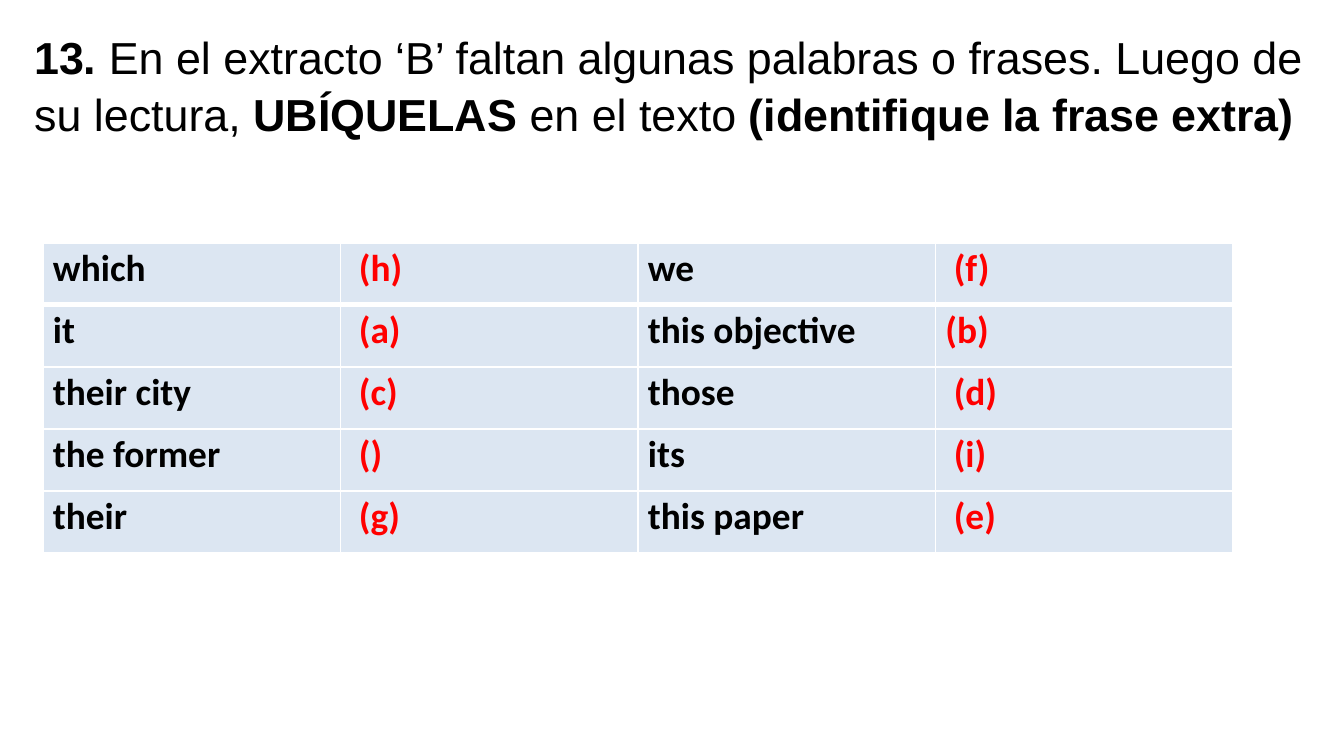
from lxml.etree import SubElement
from pptx import Presentation
from pptx.dml.color import RGBColor
from pptx.enum.text import MSO_ANCHOR
from pptx.oxml.ns import qn
from pptx.util import Emu, Pt

SCALE = 914400 / 134.4
BLACK = RGBColor(0, 0, 0)
RED = RGBColor(255, 0, 0)
WHITE = RGBColor(255, 255, 255)
PALE_BLUE = RGBColor(0xDC, 0xE6, 0xF2)

INSTRUCTION = [
    ("13. ", True),
    ("En el extracto ‘B’ faltan algunas palabras o frases. Luego de su lectura, ", False),
    ("UBÍQUELAS", True),
    (" en el texto ", False),
    ("(identifique la frase extra)", True),
]
PHRASES = [
    ("which", " (h)", "we", " (f)"),
    ("it", " (a)", "this objective", "(b) "),
    ("their city", " (c)", "those", " (d)"),
    ("the former", " ()", "its", " (i)"),
    ("their", " (g)", "this paper", " (e)"),
]


def px(n):
    return Emu(round(n * SCALE))


def format_run(r, font, size, color, bold):
    r.font.name = font
    r.font.size = Pt(size)
    r.font.color.rgb = color
    r.font.bold = bold


def set_borders(cell, widths):
    tcPr = cell._tc.get_or_add_tcPr()
    for side, width in widths.items():
        ln = SubElement(tcPr, qn(f"a:ln{side}"), w=str(Pt(width)))
        fill = SubElement(ln, qn("a:solidFill"))
        SubElement(fill, qn("a:srgbClr"), val=str(WHITE))


def add_instruction(s, x, y, w, h):
    tf = s.shapes.add_textbox(px(x), px(y), px(w), px(h)).text_frame
    tf.word_wrap = True
    p = tf.paragraphs[0]
    p.line_spacing = 1.07
    p.space_after = Pt(8)
    for text, bold in INSTRUCTION:
        r = p.add_run()
        r.text = text
        format_run(r, "Arial", 24, BLACK, bold)


def fill_cell(cell, text, color):
    cell.margin_left = cell.margin_right = px(10)
    cell.margin_top = cell.margin_bottom = 0
    cell.vertical_anchor = MSO_ANCHOR.TOP
    cell.text_frame.text = text
    p = cell.text_frame.paragraphs[0]
    p.line_spacing = 1.07
    format_run(p.runs[0], "Calibri", 20, color, True)


def add_phrase_table(s, x, y, w, h):
    rows, cols = len(PHRASES), len(PHRASES[0])
    table = s.shapes.add_table(rows, cols, px(x), px(y), px(w), px(h)).table
    for column in table.columns:
        column.width = px(w / cols)
    for i, phrases in enumerate(PHRASES):
        table.rows[i].height = px(h / rows)
        for j, text in enumerate(phrases):
            cell = table.cell(i, j)
            fill_cell(cell, text, RED if j % 2 else BLACK)
            set_borders(cell, {"L": 1, "R": 1, "T": 3 if i == 1 else 1, "B": 3 if i == 0 else 1})
            cell.fill.solid()
            cell.fill.fore_color.rgb = PALE_BLUE


def main():
    prs = Presentation()
    prs.slide_width, prs.slide_height = px(1344), px(756)
    s = prs.slides.add_slide(prs.slide_layouts[6])
    add_instruction(s, 21, 19, 1302, 130)
    add_phrase_table(s, 43, 243, 1190, 310)
    prs.save("out.pptx")


if __name__ == "__main__":
    main()
